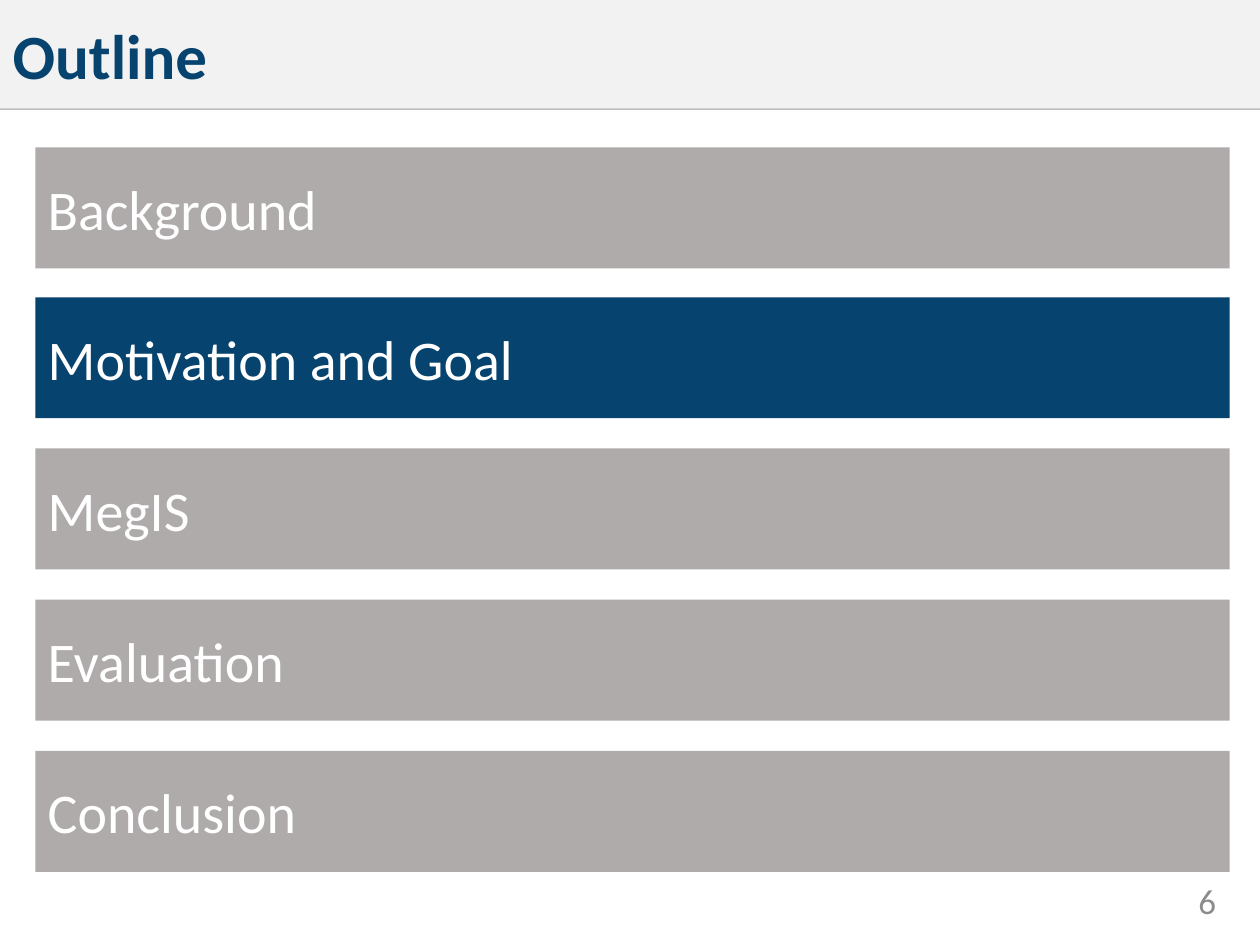
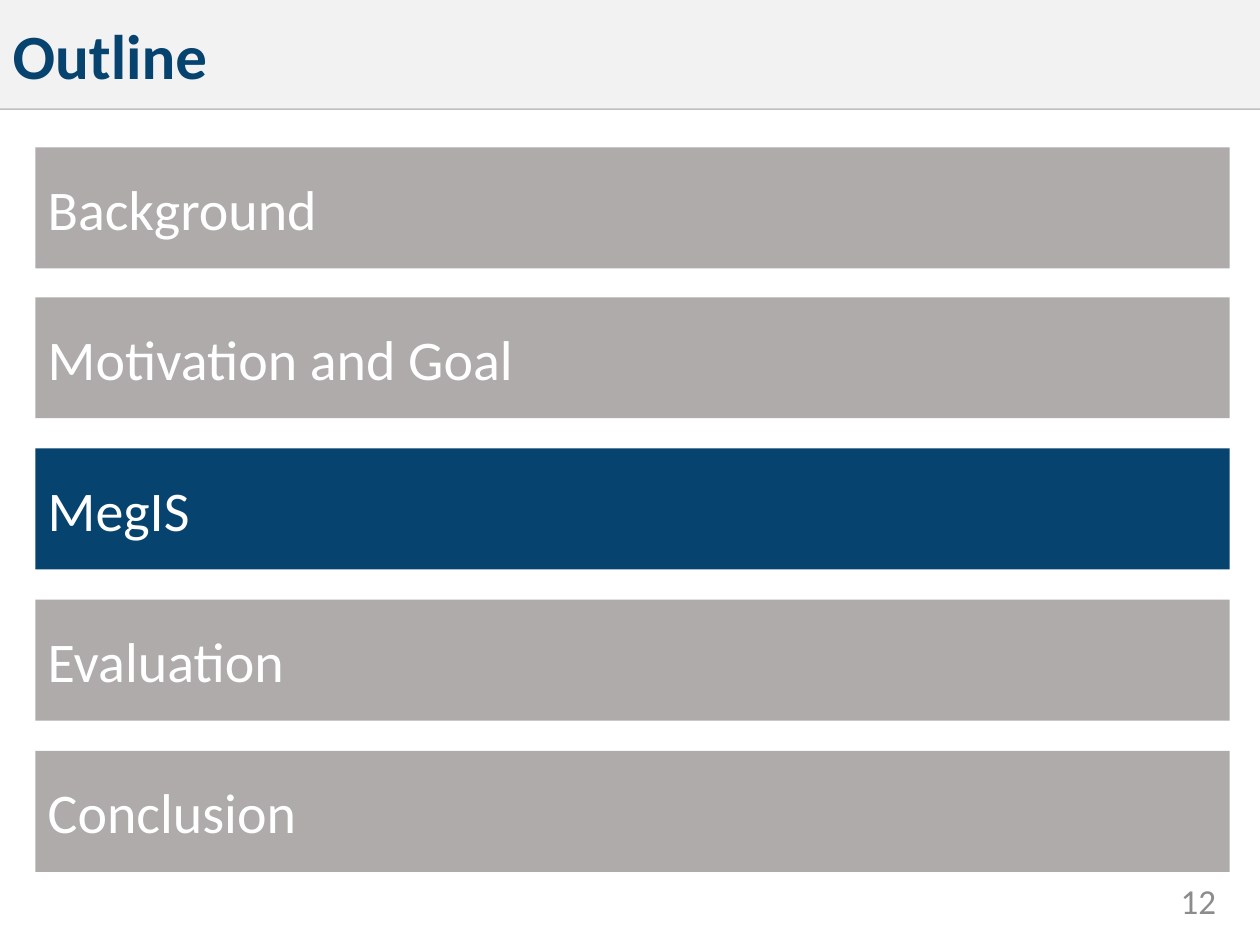
import pptx
import pptx.util
import pptx.dml.color
import pptx.enum.shapes
import pptx.enum.text
import lxml.etree

PX = 9144  # EMU per px, at 100 px to the inch
FONT = "Calibri"
COLORS = {
    "navy": "06436E",
    "gray": "AFABAB",
    "band": "F2F2F2",
    "rule": "BFBFBF",
    "number": "8C8C8C",
    "white": "FFFFFF",
}
WIDTH, HEIGHT = 1000, 750
BAND_HEIGHT = 86
BAR_LEFT, BAR_WIDTH, BAR_HEIGHT = 28, 948, 96
FIRST_TOP, LAST_TOP = 117, 596

SECTIONS = ["Background", "Motivation and Goal", "MegIS", "Evaluation", "Conclusion"]
# Page number and highlighted section of each outline slide
OUTLINES = [(6, "Motivation and Goal"), (12, "MegIS")]


def rgb(name):
    return pptx.dml.color.RGBColor.from_string(COLORS[name])


def write(shape, text, size, color, align="LEFT", bold=False):
    frame = shape.text_frame
    frame.text = text
    frame.word_wrap = True
    frame.auto_size = pptx.enum.text.MSO_AUTO_SIZE.NONE
    frame.vertical_anchor = pptx.enum.text.MSO_ANCHOR.MIDDLE
    para = frame.paragraphs[0]
    para.alignment = getattr(pptx.enum.text.PP_ALIGN, align)
    span = para.runs[0]
    span.font.name = FONT
    span.font.size = pptx.util.Pt(size)
    span.font.bold = bold
    span.font.color.rgb = rgb(color)
    return para


deck = pptx.Presentation()
deck.slide_width = WIDTH * PX
deck.slide_height = HEIGHT * PX
title_only = deck.slide_layouts[5]

for number, current in OUTLINES:
    page = deck.slides.add_slide(title_only)

    # Title band
    title = page.shapes.title
    title.left, title.top = 0, 0
    title.width, title.height = WIDTH * PX, BAND_HEIGHT * PX
    title.fill.solid()
    title.fill.fore_color.rgb = rgb("band")
    para = write(title, "Outline", 36, "navy", bold=True)
    para.space_after = pptx.util.Pt(6)

    # Rule along the lower edge of the band, behind it
    rule = page.shapes.add_connector(
        pptx.enum.shapes.MSO_CONNECTOR.STRAIGHT,
        0, BAND_HEIGHT * PX, WIDTH * PX, BAND_HEIGHT * PX)
    rule.line.color.rgb = rgb("rule")
    rule.line.width = pptx.util.Pt(2)
    lxml.etree.SubElement(rule._element.spPr, pptx.oxml.ns.qn("a:effectLst"))
    title._element.addprevious(rule._element)

    # Page number
    box = page.shapes.add_textbox(867 * PX, 695 * PX, 108 * PX, 40 * PX)
    write(box, str(number), 20, "number", align="RIGHT")

    # Section bars, evenly spaced
    for index, section in enumerate(SECTIONS):
        top = FIRST_TOP + (LAST_TOP - FIRST_TOP) * index // (len(SECTIONS) - 1)
        bar = page.shapes.add_shape(
            pptx.enum.shapes.MSO_SHAPE.RECTANGLE,
            BAR_LEFT * PX, top * PX, BAR_WIDTH * PX, BAR_HEIGHT * PX)
        bar.shadow.inherit = False
        bar.fill.solid()
        bar.fill.fore_color.rgb = rgb("navy" if section == current else "gray")
        bar.line.fill.background()
        write(bar, section, 32, "white")

deck.save("out.pptx")
